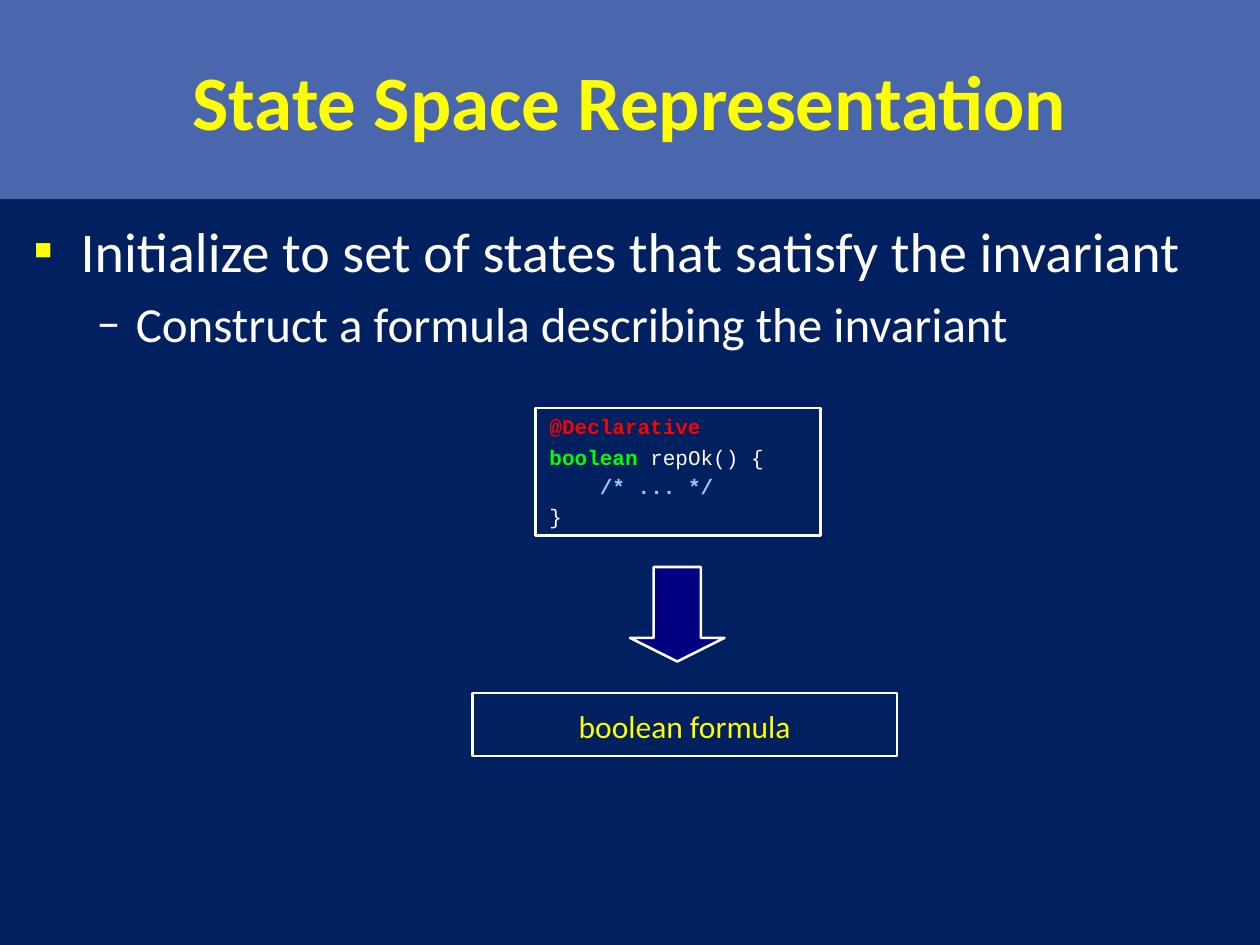
from lxml.etree import SubElement
from pptx import Presentation
from pptx.dml.color import RGBColor
from pptx.enum.shapes import MSO_SHAPE
from pptx.enum.text import MSO_ANCHOR, PP_ALIGN
from pptx.oxml.ns import qn
from pptx.util import Pt


def paint(part, color):
    """Give a fill one solid colour."""
    part.solid()
    part.fore_color.rgb = RGBColor.from_string(color)


def draw(kind, left, top, width, height, fill=None):
    """Add a white-outlined shape, empty unless a fill is given."""
    shape = slide.shapes.add_shape(kind, Pt(left), Pt(top), Pt(width), Pt(height))
    shape.shadow.inherit = False
    if fill:
        paint(shape.fill, fill)
    else:
        shape.fill.background()
    paint(shape.line.fill, "FFFFFF")
    shape.line.width = Pt(1.45)
    frame = shape.text_frame
    frame.margin_left = frame.margin_right = Pt(8)
    frame.margin_top = frame.margin_bottom = Pt(4.5)
    return shape


deck = Presentation()
deck.slide_width, deck.slide_height = Pt(720), Pt(540)
slide = deck.slides.add_slide(deck.slide_layouts[5])
paint(slide.background.fill, "002060")

# Title band
title = slide.shapes.title
title.left, title.top, title.width, title.height = Pt(0), Pt(0), Pt(720), Pt(113.75)
paint(title.fill, "4A66AC")
title.text_frame.text = "State Space Representation"
title.text_frame.vertical_anchor = MSO_ANCHOR.MIDDLE
para = title.text_frame.paragraphs[0]
para.alignment = PP_ALIGN.CENTER
para.font.name, para.font.size, para.font.bold = "Calibri", Pt(44), True
paint(para.font.fill, "FFFF00")

# Bullets: text, level, size, left margin, hanging indent, mark, mark colour, space before
points = [
    ("Initialize to set of states that satisfy the invariant", 0, 32, 27, 27, "▪", "FFFF00", 0),
    ("Construct a formula describing the invariant", 1, 28, 58.5, 22.5, "–", "FFFFFF", 5.6),
]
body = slide.shapes.add_textbox(Pt(12), Pt(120), Pt(696), Pt(414)).text_frame
body.word_wrap = True
for i, (text, level, size, left, hang, mark, color, gap) in enumerate(points):
    para = body.paragraphs[0] if i == 0 else body.add_paragraph()
    para.text, para.level = text, level
    para.space_before = Pt(gap)
    props = para._p.get_or_add_pPr()
    props.set("marL", str(Pt(left)))
    props.set("indent", str(-Pt(hang)))
    tint = SubElement(props, qn("a:buClr"))
    SubElement(tint, qn("a:srgbClr"), val=color)
    SubElement(props, qn("a:buFont"), typeface="Calibri")
    SubElement(props, qn("a:buChar"), char=mark)
    para.font.name, para.font.size = "Calibri", Pt(size)
    paint(para.font.fill, "FFFFFF")

# Formula box
frame = draw(MSO_SHAPE.RECTANGLE, 270, 396, 242.5, 36).text_frame
frame.margin_top = Pt(6)
frame.word_wrap = False
frame.vertical_anchor = MSO_ANCHOR.MIDDLE
frame.text = "boolean formula"
para = frame.paragraphs[0]
para.alignment = PP_ALIGN.CENTER
para.font.name, para.font.size = "Calibri", Pt(18)
paint(para.font.fill, "FFFF00")

# Code box: line spacing, then runs of text, colour, bold
code = [
    (0.94, [("@Declarative", "FF0000", True)]),
    (1.18, [("boolean ", "00FF00", True), ("repOk() {", "FFFFFF", False)]),
    (1.18, [("    ", "FFFFFF", False), ("/* ... */", "99CCFF", True)]),
    (1.18, [("}", "FFFFFF", False)]),
]
frame = draw(MSO_SHAPE.RECTANGLE, 306, 233.25, 162.75, 72.75).text_frame
frame.word_wrap = True
frame.vertical_anchor = MSO_ANCHOR.TOP
for i, (space, runs) in enumerate(code):
    para = frame.paragraphs[0] if i == 0 else frame.add_paragraph()
    para.alignment = PP_ALIGN.LEFT
    para.line_spacing = space
    para.font.name, para.font.size = "Courier New", Pt(12)
    for text, color, bold in runs:
        run = para.add_run()
        run.text, run.font.bold = text, bold
        paint(run.font.fill, color)

# Arrow from code to formula
arrow = draw(MSO_SHAPE.DOWN_ARROW, 360, 324, 54, 54, "000080")
arrow.adjustments[0], arrow.adjustments[1] = 0.5, 0.25

deck.save("out.pptx")
